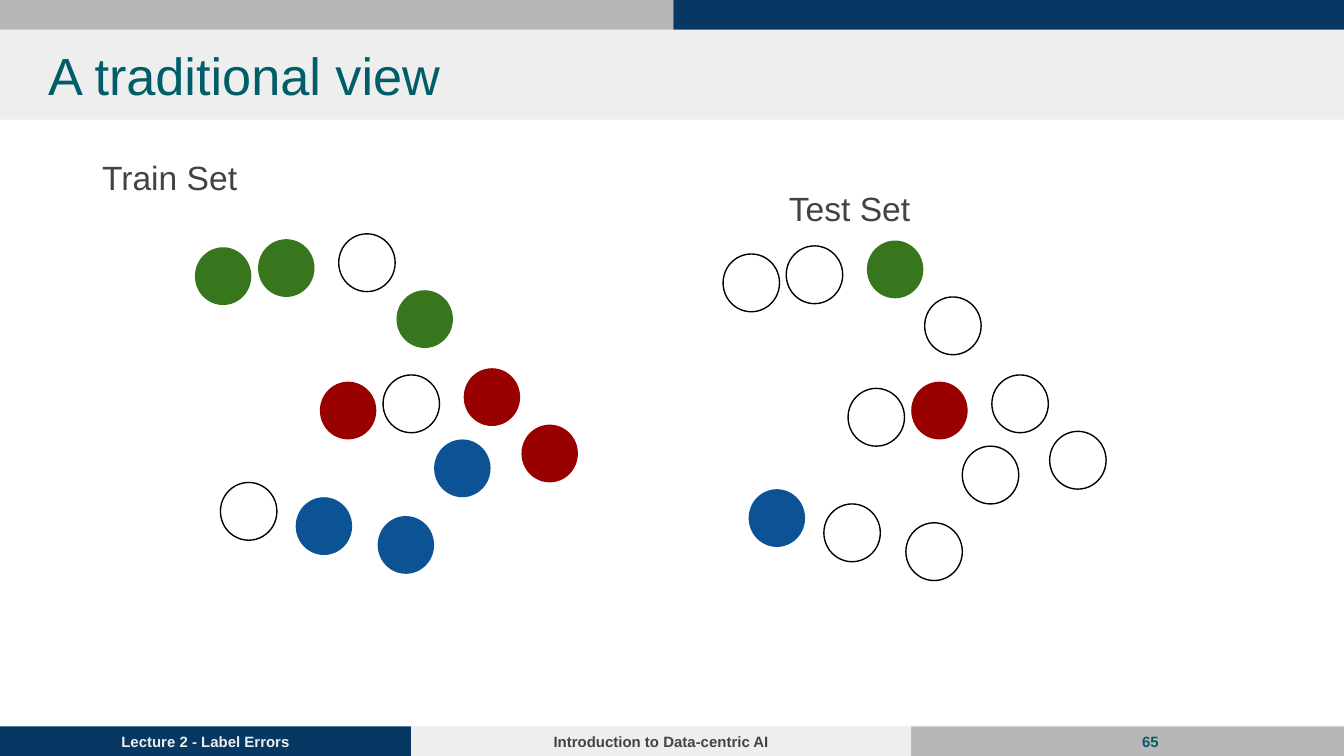
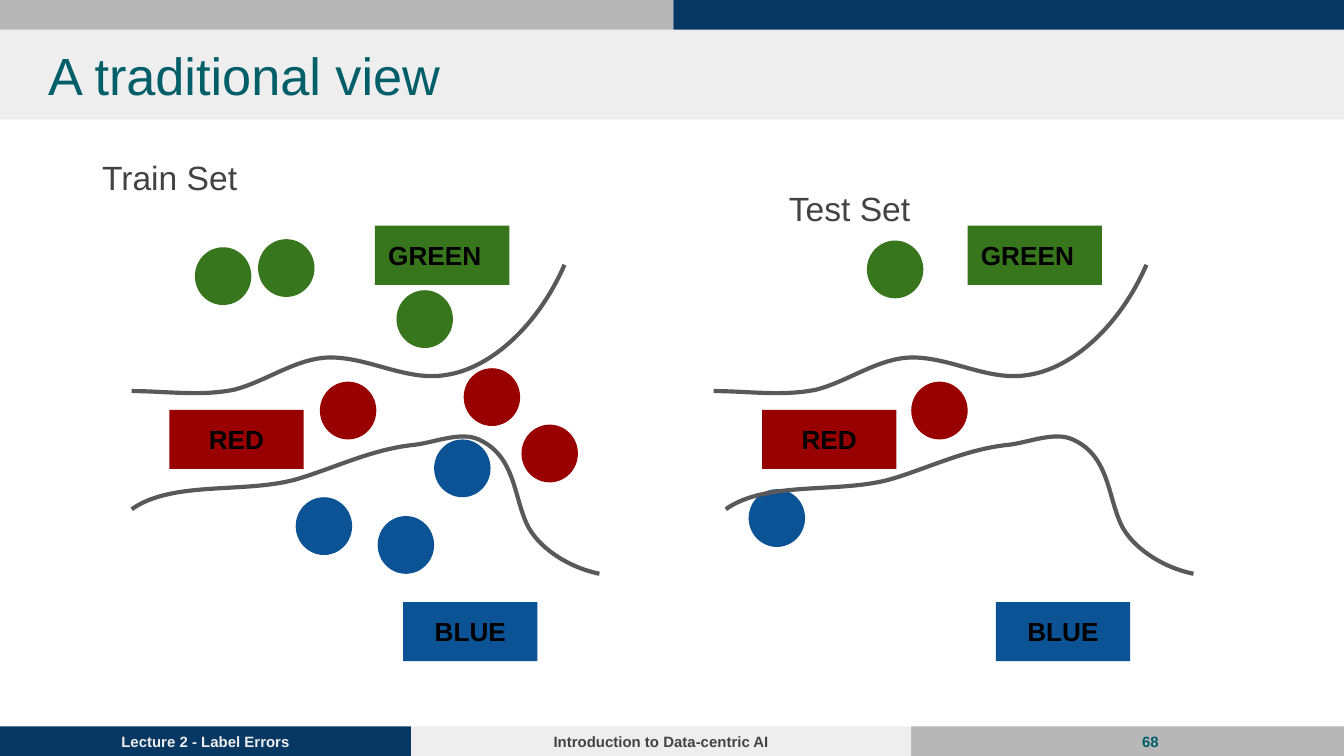
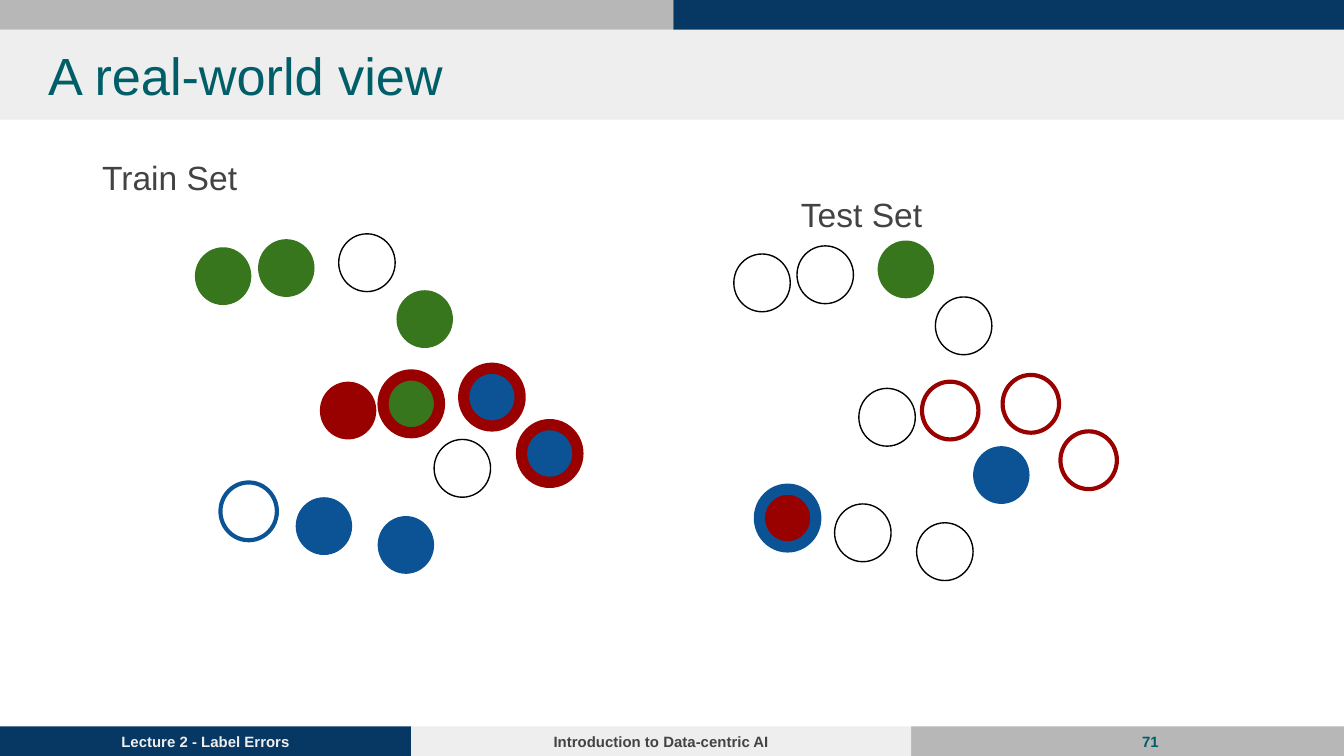
import pptx
import pptx.util
import pptx.dml.color
import pptx.enum.shapes
import pptx.enum.text
import pptx.oxml.ns
from lxml import etree

Inches, Pt = pptx.util.Inches, pptx.util.Pt
KIND = pptx.enum.shapes.MSO_SHAPE
ALIGN = pptx.enum.text.PP_ALIGN
ANCHOR = pptx.enum.text.MSO_ANCHOR
qn = pptx.oxml.ns.qn

# Slide size, 16 to 9, and the height of the thin bands
WIDE = 10
TALL = WIDE * 9 / 16
THIN = 0.22
FOOT = TALL - THIN

# Colours
NAVY, SILVER, PALE = "073763", "B7B7B7", "EEEEEE"
TEAL, GREY, BLACK, SLATE = "005E68", "434343", "000000", "595959"
GREEN, RED, BLUE = "38761D", "990000", "0B5394"

# Text styles: font values, then paragraph values
TITLE = ({"size": Pt(28), "color": TEAL}, {})
HEAD = ({"size": Pt(18), "color": GREY}, {"line_spacing": 1.15, "space_after": Pt(16)})
LEFT = ({"size": Pt(14), "color": BLACK, "bold": True}, {})
MID = (LEFT[0], {"alignment": ALIGN.CENTER})


def foot(color, align=ALIGN.CENTER):
    return {"size": Pt(8), "color": color, "bold": True}, {"alignment": align}


# Bands on every slide: box, fill, text, text colour
BANDS = [
    ((0, THIN, WIDE, 0.67), PALE, None, None),
    ((0, FOOT, 3.06, THIN), NAVY, "Lecture 2 - Label Errors", PALE),
    ((6.78, FOOT, 3.22, THIN), SILVER, None, None),
    ((0, 0, 5.01, THIN), SILVER, None, None),
    ((5.01, 0, 4.99, THIN), NAVY, None, None),
    ((3.06, FOOT, 3.72, THIN), PALE, "Introduction to Data-centric AI", GREY),
]

# Dot places in the train set; the test set is the same cloud, moved
DOTS = [(1.64, 3.59), (2.81, 3.84), (2.2, 3.7), (3.23, 3.27),
        (2.38, 2.84), (2.85, 2.79), (3.45, 2.74), (3.88, 3.16),
        (1.45, 1.84), (1.92, 1.78), (2.52, 1.74), (2.95, 2.16)]

# Dot marks: fill, line colour, line width
MARKS = {
    "o": (None, BLACK, 0.75),
    "G": (GREEN, None, 0), "R": (RED, None, 0), "B": (BLUE, None, 0),
    "r": (None, RED, 2.25), "b": (None, BLUE, 2.25),
    "G/R": (GREEN, RED, 6), "B/R": (BLUE, RED, 6), "R/B": (RED, BLUE, 6),
}

# Class borders: shift to the test set, then start and curve points in threes
CURVES = [
    (4.42, [(0.98, 3.79),
            (1.29, 3.57), (1.84, 3.68), (2.23, 3.56),
            (2.52, 3.47), (2.78, 3.34), (3.09, 3.31),
            (3.24, 3.29), (3.43, 3.21), (3.56, 3.27),
            (3.83, 3.39), (3.82, 3.68), (3.92, 3.9),
            (4, 4.07), (4.22, 4.22), (4.46, 4.27)]),
    (4.33, [(0.98, 2.91),
            (1.23, 2.91), (1.49, 2.95), (1.74, 2.9),
            (1.98, 2.84), (2.21, 2.66), (2.46, 2.66),
            (2.75, 2.66), (3.03, 2.84), (3.32, 2.79),
            (3.66, 2.74), (4.01, 2.41), (4.2, 1.97)]),
]
TAGS = [("RED", 1.26, 3.05, RED, MID),
        ("BLUE", 3, 4.48, BLUE, MID),
        ("GREEN", 2.79, 1.68, GREEN, LEFT)]
TAG_SHIFT = 4.41

# Slides
SLIDES = [
    {"title": "A traditional view", "page": "65", "shift": (3.93, 0.05),
     "test box": (5.29, 1.25, 2.04, 0.49), "split": False,
     "train": "o B B B R o R R G G o G",
     "test": "B o o o o R o o o o G o"},
    {"title": "A traditional view", "page": "68", "shift": (3.93, 0.05),
     "test box": (5.29, 1.25, 2.04, 0.49), "split": True,
     "train": "- B B B R - R R G G - G",
     "test": "B - - - - R - - - - G -"},
    {"title": "A real-world view", "page": "71", "shift": (4.01, 0.05),
     "test box": (5.38, 1.3, 2.83, 0.49), "split": False,
     "train": "b B B o R G/R B/R B/R G G o G",
     "test": "R/B o o B o r r r o o G o"},
]


def rgb(color):
    return pptx.dml.color.RGBColor.from_string(color)


def assign(part, values):
    for name, value in values.items():
        setattr(part, name, value)


def paint(shape, fill=None, line=None, width=0):
    shape.shadow.inherit = False
    if fill:
        shape.fill.solid()
        shape.fill.fore_color.rgb = rgb(fill)
    else:
        shape.fill.background()
    if line:
        shape.line.color.rgb = rgb(line)
        shape.line.width = Pt(width)
    else:
        shape.line.fill.background()


def write(shape, text, style, anchor=ANCHOR.TOP, indent=0.1):
    frame = shape.text_frame
    assign(frame, {"word_wrap": True, "vertical_anchor": anchor,
                   "margin_left": Inches(indent), "margin_right": Inches(0.1),
                   "margin_top": Inches(0.1), "margin_bottom": Inches(0.1)})
    line = frame.paragraphs[0]
    line.alignment = ALIGN.LEFT
    assign(line, style[1])
    run = line.add_run()
    run.text = text
    font = dict(style[0], name="Arial")
    run.font.color.rgb = rgb(font.pop("color"))
    assign(run.font, font)


def add_shape(slide, kind, box, *look):
    shape = slide.shapes.add_shape(kind, *map(Inches, box))
    paint(shape, *look)
    return shape


def add_text(slide, box, *words, **more):
    write(slide.shapes.add_textbox(*map(Inches, box)), *words, **more)


def add_frame(slide, title, page):
    for box, fill, text, color in BANDS:
        band = add_shape(slide, KIND.RECTANGLE, box, fill)
        if text:
            write(band, text, foot(color), ANCHOR.MIDDLE)
    add_text(slide, (0.26, THIN, 9.32, 0.67), title, TITLE)
    add_text(slide, (7.96, 5.3, 0.76, 0.43), page, foot(TEAL, ALIGN.RIGHT), ANCHOR.MIDDLE)


def add_dots(slide, marks, dx=0, dy=0):
    for (x, y), mark in zip(DOTS, marks.split()):
        if mark in MARKS:
            add_shape(slide, KIND.OVAL, (x + dx, y + dy, 0.42, 0.43), *MARKS[mark])


def add_curve(slide, points, dx):
    first, *rest = [(Inches(x + dx), Inches(y)) for x, y in points]
    form = slide.shapes.build_freeform(*first)
    form.add_line_segments(rest, close=False)
    shape = form.convert_to_shape()
    paint(shape, None, SLATE, 2.25)
    # Turn each three straight steps into one Bezier step
    track = next(shape.element.iter(qn("a:path")))
    steps = track.findall(qn("a:lnTo"))
    for i in range(0, len(steps), 3):
        bend = etree.SubElement(track, qn("a:cubicBezTo"))
        for step in steps[i:i + 3]:
            bend.append(step[0])
            track.remove(step)


def add_split(slide):
    for side in (0, 1):
        for shift, points in CURVES:
            add_curve(slide, points, side * shift)
        for text, x, y, fill, style in TAGS:
            box = (x + side * TAG_SHIFT, y, 1, 0.44)
            write(add_shape(slide, KIND.RECTANGLE, box, fill), text, style)


def main():
    deck = pptx.Presentation()
    deck.slide_width, deck.slide_height = Inches(WIDE), Inches(TALL)
    for view in SLIDES:
        slide = deck.slides.add_slide(deck.slide_layouts[6])
        add_frame(slide, view["title"], view["page"])
        add_text(slide, (0.18, 1.02, 9.32, 3.3), "Train Set", HEAD, indent=0.58)
        add_dots(slide, view["train"])
        add_text(slide, view["test box"], "Test Set", HEAD, indent=0.58)
        add_dots(slide, view["test"], *view["shift"])
        if view["split"]:
            add_split(slide)
    deck.save("out.pptx")


if __name__ == "__main__":
    main()
